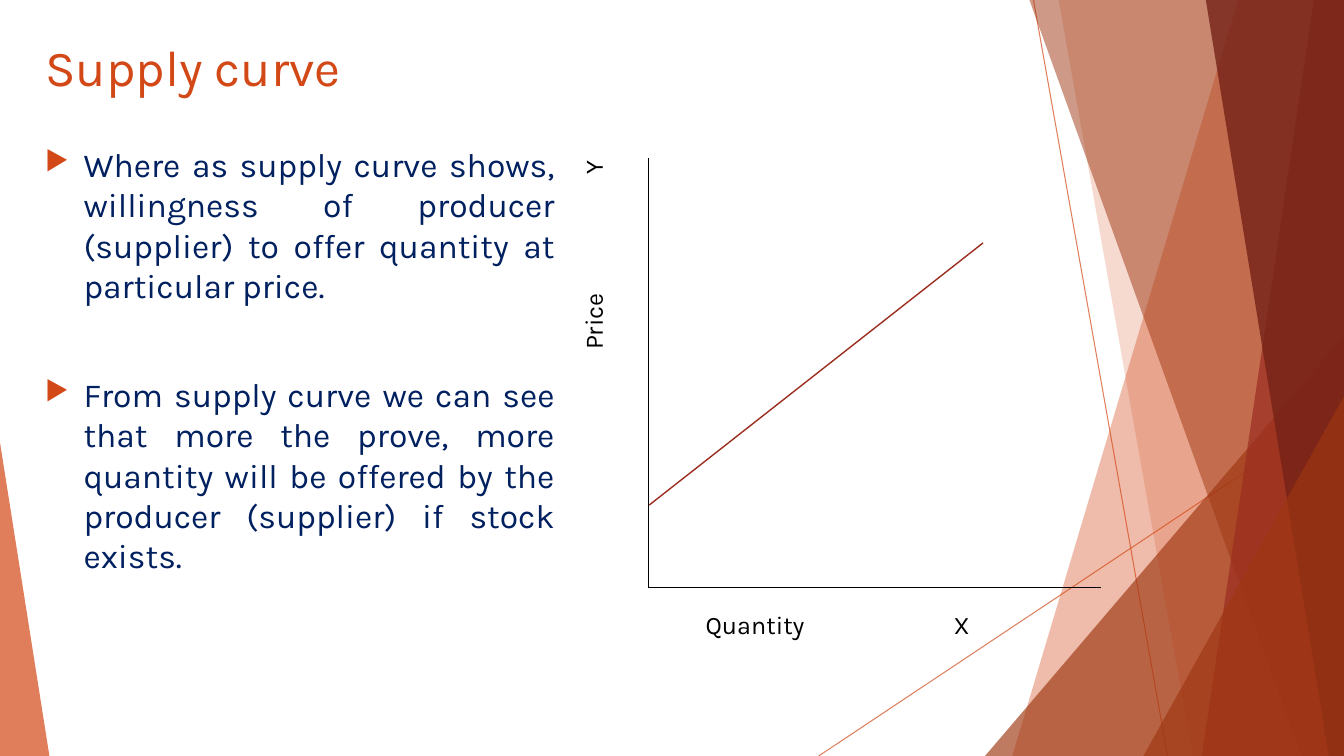
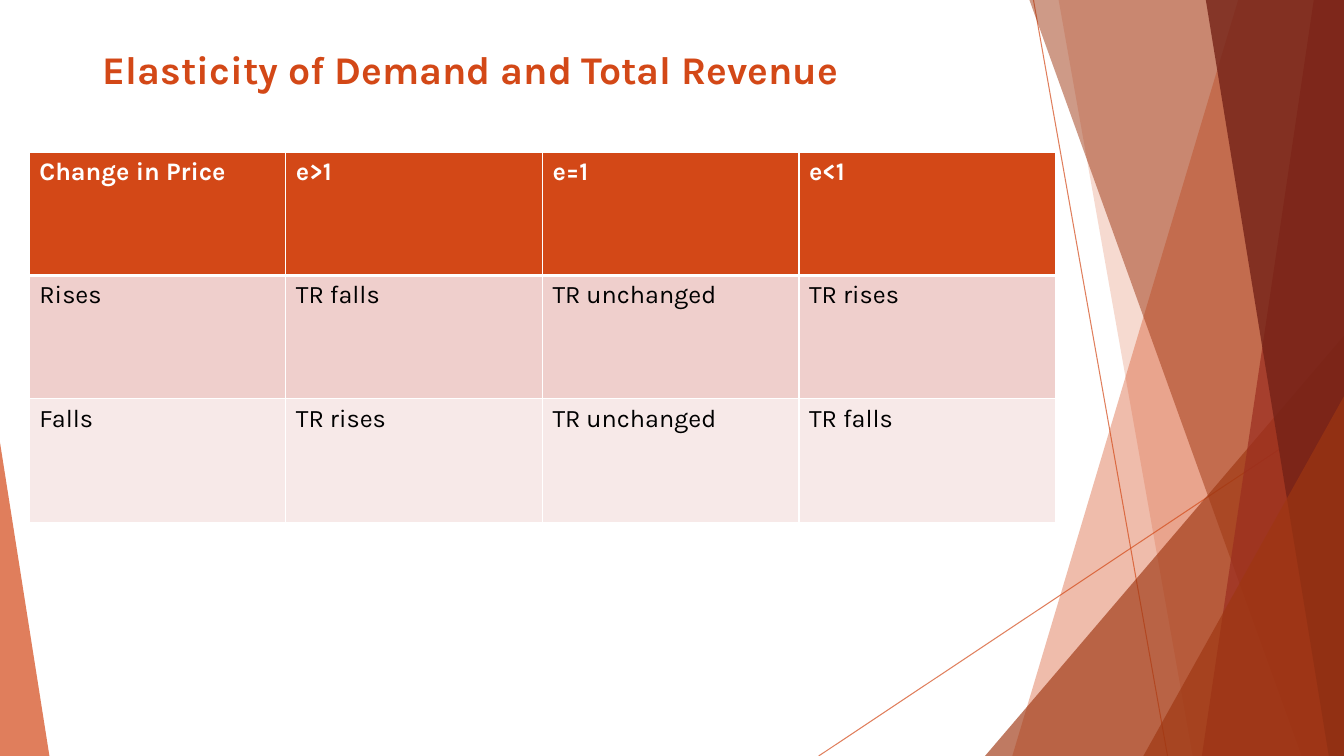
from lxml.etree import SubElement
from pptx import Presentation
from pptx.dml.color import RGBColor
from pptx.enum.shapes import MSO_CONNECTOR, MSO_SHAPE
from pptx.enum.text import MSO_ANCHOR, PP_ALIGN
from pptx.oxml.ns import qn
from pptx.util import Inches, Pt

ORANGE = RGBColor(0xD3, 0x48, 0x17)
RUST = RGBColor(0x9E, 0x36, 0x11)
RED = RGBColor(0x9B, 0x2D, 0x1F)
MAROON = RGBColor(0x74, 0x22, 0x17)
NAVY = RGBColor(0x00, 0x20, 0x60)
BLACK = RGBColor(0x00, 0x00, 0x00)
WHITE = RGBColor(0xFF, 0xFF, 0xFF)
PINK = RGBColor(0xEF, 0xCF, 0xCC)
PALE_PINK = RGBColor(0xF7, 0xE9, 0xE8)
FONT = "Karla"
WIDTH, HEIGHT = 13.33, 7.5


def set_opacity(shape, percent):
    for colour in shape.element.xpath(".//a:srgbClr"):
        SubElement(colour, qn("a:alpha"), val=str(percent * 1000))


def add_line(shapes, start, end, colour, points):
    ends = [Inches(value) for value in start + end]
    line = shapes.add_connector(MSO_CONNECTOR.STRAIGHT, *ends)
    line.line.color.rgb = colour
    line.line.width = Pt(points)
    SubElement(line.element.spPr, qn("a:effectLst"))
    return line


deck = Presentation()
deck.slide_width = Inches(WIDTH)
deck.slide_height = Inches(HEIGHT)
layout = deck.slide_layouts[5]
for placeholder in list(layout.placeholders)[1:]:
    placeholder.element.getparent().remove(placeholder.element)

titles = [
    ("Supply curve", (0.35, 0.31, 11.5, 1.45), 36, False),
    ("Elasticity of Demand and Total Revenue", (0.92, 0.4, 7.83, 0.9), 28, True),
]
pages = []
for text, place, size, bold in titles:
    page = deck.slides.add_slide(layout)
    title = page.shapes.title
    title.left, title.top, title.width, title.height = [Inches(value) for value in place]
    title.text_frame.text = text
    title.text_frame.vertical_anchor = MSO_ANCHOR.TOP
    para = title.text_frame.paragraphs[0]
    para.alignment = PP_ALIGN.LEFT
    para.font.name = FONT
    para.font.size = Pt(size)
    para.font.bold = bold
    para.font.color.rgb = ORANGE
    pages.append(page)
supply_page, revenue_page = pages

backdrop = supply_page.shapes.add_group_shape()
for start, end in [((10.25, 0), (11.58, HEIGHT)), ((WIDTH, 4.03), (8.12, HEIGHT))]:
    set_opacity(add_line(backdrop.shapes, start, end, ORANGE, 0.75), 70)

facets = [
    ("band", (12.28, 10.04), ORANGE, 36),
    ("band", (10.5, 11.83), ORANGE, 20),
    ("triangle", (9.77, 3.33, WIDTH, 1), RUST, 66),
    ("band", (10.21, 12.91), RUST, 50),
    ("band", (13.03, 11.92), RED, 70),
    ("band", (11.96, 13.18), MAROON, 80),
    ("triangle", (11.34, 3.93, WIDTH, 1), RUST, 66),
    ("triangle", (0, 4.39, 0.49, 0), ORANGE, 70),
]
for kind, outline, colour, opacity in facets:
    if kind == "band":
        top_x, bottom_x = outline
        builder = backdrop.shapes.build_freeform(Inches(top_x), 0)
        corners = [(WIDTH, 0), (WIDTH, HEIGHT), (bottom_x, HEIGHT)]
        builder.add_line_segments([(Inches(x), Inches(y)) for x, y in corners])
        facet = builder.convert_to_shape()
    else:
        left, top, right, apex = outline
        facet = backdrop.shapes.add_shape(
            MSO_SHAPE.ISOSCELES_TRIANGLE,
            Inches(left), Inches(top), Inches(right - left), Inches(HEIGHT - top),
        )
        facet.adjustments[0] = apex
    facet.shadow.inherit = False
    facet.fill.solid()
    facet.fill.fore_color.rgb = colour
    facet.line.fill.background()
    set_opacity(facet, opacity)
layout.shapes.element.insert(2, backdrop.element)

points = [
    "Where as supply curve shows, willingness of producer (supplier) to offer quantity at particular price.",
    "From supply curve we can see that more the prove, more quantity will be offered by the producer (supplier) if stock exists.",
]
body = supply_page.shapes.add_textbox(Inches(0.35), Inches(1.38), Inches(5.25), Inches(5.65))
frame = body.text_frame
frame.word_wrap = True
for index, text in enumerate(points):
    para = frame.add_paragraph() if index else frame.paragraphs[0]
    para.text = text
    para.alignment = PP_ALIGN.JUSTIFY
    para.space_before = Pt(49 * index)
    para.font.name = FONT
    para.font.size = Pt(24)
    para.font.color.rgb = NAVY
    properties = para._p.get_or_add_pPr()
    properties.set("marL", str(Inches(0.38)))
    properties.set("indent", str(-Inches(0.38)))
    bullet_colour = SubElement(properties, qn("a:buClr"))
    SubElement(bullet_colour, qn("a:srgbClr"), val=str(ORANGE))
    SubElement(properties, qn("a:buSzPct"), val="80000")
    SubElement(properties, qn("a:buChar"), char="▶")

origin = (6.43, 5.83)
add_line(supply_page.shapes, (6.43, 1.57), origin, BLACK, 1)
add_line(supply_page.shapes, origin, (10.92, 5.83), BLACK, 1)
add_line(supply_page.shapes, (6.44, 5.01), (9.75, 2.41), RED, 1)

axis_labels = [
    ("Quantity", 6.9, 6, 1.5, 0),
    ("X", 9.36, 6, 0.5, 0),
    ("Price", 5.39, 2.86, 1, 270),
    ("Y", 5.64, 1.37, 0.5, 270),
]
for text, left, top, width, rotation in axis_labels:
    box = supply_page.shapes.add_textbox(Inches(left), Inches(top), Inches(width), Inches(0.42))
    box.rotation = rotation
    box.text_frame.word_wrap = True
    para = box.text_frame.paragraphs[0]
    para.text = text
    para.font.name = FONT
    para.font.size = Pt(18)
    para.font.color.rgb = BLACK

rows = [
    ("Change in Price", "e>1", "e=1", "e<1"),
    ("Rises", "TR falls", "TR unchanged", "TR rises"),
    ("Falls", "TR rises", "TR unchanged", "TR falls"),
]
row_fills = [ORANGE, PINK, PALE_PINK]
table = revenue_page.shapes.add_table(
    len(rows), len(rows[0]), Inches(0.29), Inches(1.51), Inches(10.18), Inches(3.67)
).table
for row_index, (row, fill) in enumerate(zip(rows, row_fills)):
    is_header = row_index == 0
    borders = {
        "a:lnL": 1,
        "a:lnR": 1,
        "a:lnT": 3 if row_index == 1 else 1,
        "a:lnB": 3 if is_header else 1,
    }
    for column_index, text in enumerate(row):
        cell = table.cell(row_index, column_index)
        cell.text = text
        cell_properties = cell._tc.get_or_add_tcPr()
        for tag, thickness in borders.items():
            border = SubElement(cell_properties, qn(tag), w=str(Pt(thickness)))
            SubElement(SubElement(border, qn("a:solidFill")), qn("a:srgbClr"), val=str(WHITE))
        cell.fill.solid()
        cell.fill.fore_color.rgb = fill
        para = cell.text_frame.paragraphs[0]
        para.font.name = FONT
        para.font.size = Pt(18)
        para.font.bold = is_header
        para.font.color.rgb = WHITE if is_header else BLACK

deck.save("out.pptx")
